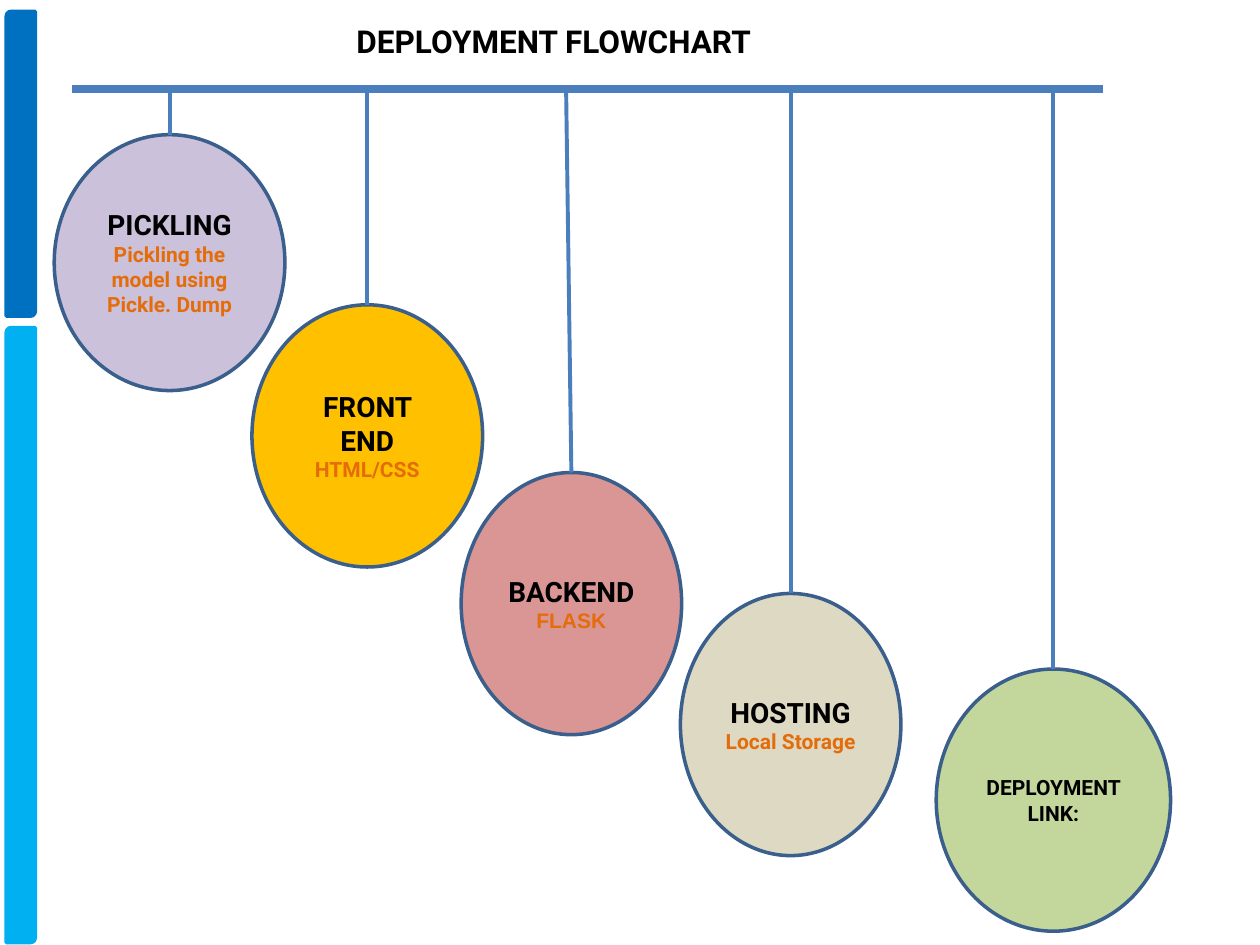
from dataclasses import dataclass

import pptx
import pptx.dml.color
import pptx.enum.shapes
import pptx.enum.text
import pptx.oxml.ns
import pptx.util
from lxml import etree

Pt = pptx.util.Pt
Shape = pptx.enum.shapes.MSO_SHAPE
RAIL_Y = 51.1
BLUE = "4B7EBC"
EDGE = "3A5F8C"
BLACK = "000000"
ORANGE = "E46C0A"


@dataclass
class Bar:
    top: float
    height: float
    color: str


@dataclass
class Step:
    left: float
    top: float
    width: float
    height: float
    fill: str
    head: str
    note: str = ""
    size: float = 16
    face: str = "Roboto"
    shift: float = 0


BARS = [Bar(6.5, 174.2, "0070C0"), Bar(187.2, 351.4, "00B0F0")]
STEPS = [
    Step(31, 77, 131.8, 146.2, "CCC1DA", "PICKLING", "Pickling the model using Pickle. Dump"),
    Step(144, 174.2, 131.8, 149.8, "FFC000", "FRONT END", "HTML/CSS"),
    Step(263.5, 270, 126, 149.8, "D99694", "BACKEND", "FLASK", face="Arial", shift=-3),
    Step(388.8, 339.1, 126, 149.8, "DDD9C3", "HOSTING", "Local Storage"),
    Step(535, 382.3, 133.9, 149.8, "C3D69B", "DEPLOYMENT LINK:", size=12),
]


def rgb(color: str) -> pptx.dml.color.RGBColor:
    return pptx.dml.color.RGBColor.from_string(color)


def paint(shape, fill: str, edge: str) -> None:
    shape.shadow.inherit = False
    shape.fill.solid()
    shape.fill.fore_color.rgb = rgb(fill)
    shape.line.color.rgb = rgb(edge)
    shape.line.width = Pt(2)


def write(para, text: str, size: float, color: str, face: str = "Roboto") -> None:
    para.text = text
    para.alignment = pptx.enum.text.PP_ALIGN.CENTER
    para.font.name = face
    para.font.size = Pt(size)
    para.font.bold = True
    para.font.color.rgb = rgb(color)


def draw_bar(slide, bar: Bar) -> None:
    shape = slide.shapes.add_shape(
        Shape.ROUND_2_DIAG_RECTANGLE, Pt(3.6), Pt(bar.top), Pt(16.6), Pt(bar.height))
    paint(shape, bar.color, bar.color)


def draw_line(slide, x1: float, y1: float, x2: float, y2: float, width: float) -> None:
    line = slide.shapes.add_connector(
        pptx.enum.shapes.MSO_CONNECTOR.STRAIGHT, Pt(x1), Pt(y1), Pt(x2), Pt(y2))
    line.line.color.rgb = rgb(BLUE)
    line.line.width = Pt(width)
    etree.SubElement(line._element.spPr, pptx.oxml.ns.qn("a:effectLst"))


def draw_step(slide, step: Step) -> None:
    shape = slide.shapes.add_shape(
        Shape.OVAL, Pt(step.left), Pt(step.top), Pt(step.width), Pt(step.height))
    paint(shape, step.fill, EDGE)
    frame = shape.text_frame
    frame.word_wrap = True
    frame.vertical_anchor = pptx.enum.text.MSO_ANCHOR.MIDDLE
    write(frame.paragraphs[0], step.head, step.size, BLACK)
    if step.note:
        write(frame.add_paragraph(), step.note, 12, ORANGE, step.face)


def draw_string(slide, step: Step) -> None:
    mid = step.left + step.width / 2
    draw_line(slide, mid + step.shift, RAIL_Y, mid, step.top, 2.25)


def set_title(slide, text: str) -> None:
    title = slide.shapes.title
    title.left, title.top, title.width, title.height = Pt(169.2), Pt(9.4), Pt(294.5), Pt(27.4)
    title.text_frame.vertical_anchor = pptx.enum.text.MSO_ANCHOR.MIDDLE
    write(title.text_frame.paragraphs[0], text, 18, BLACK)


def main() -> None:
    deck = pptx.Presentation()
    deck.slide_width, deck.slide_height = Pt(720), Pt(540)
    slide = deck.slides.add_slide(deck.slide_layouts[5])
    for bar in BARS:
        draw_bar(slide, bar)
    for step in STEPS:
        draw_step(slide, step)
    draw_line(slide, 41, RAIL_Y, 630, RAIL_Y, 4.5)
    for step in STEPS:
        draw_string(slide, step)
    set_title(slide, "DEPLOYMENT FLOWCHART")
    deck.save("out.pptx")


if __name__ == "__main__":
    main()
